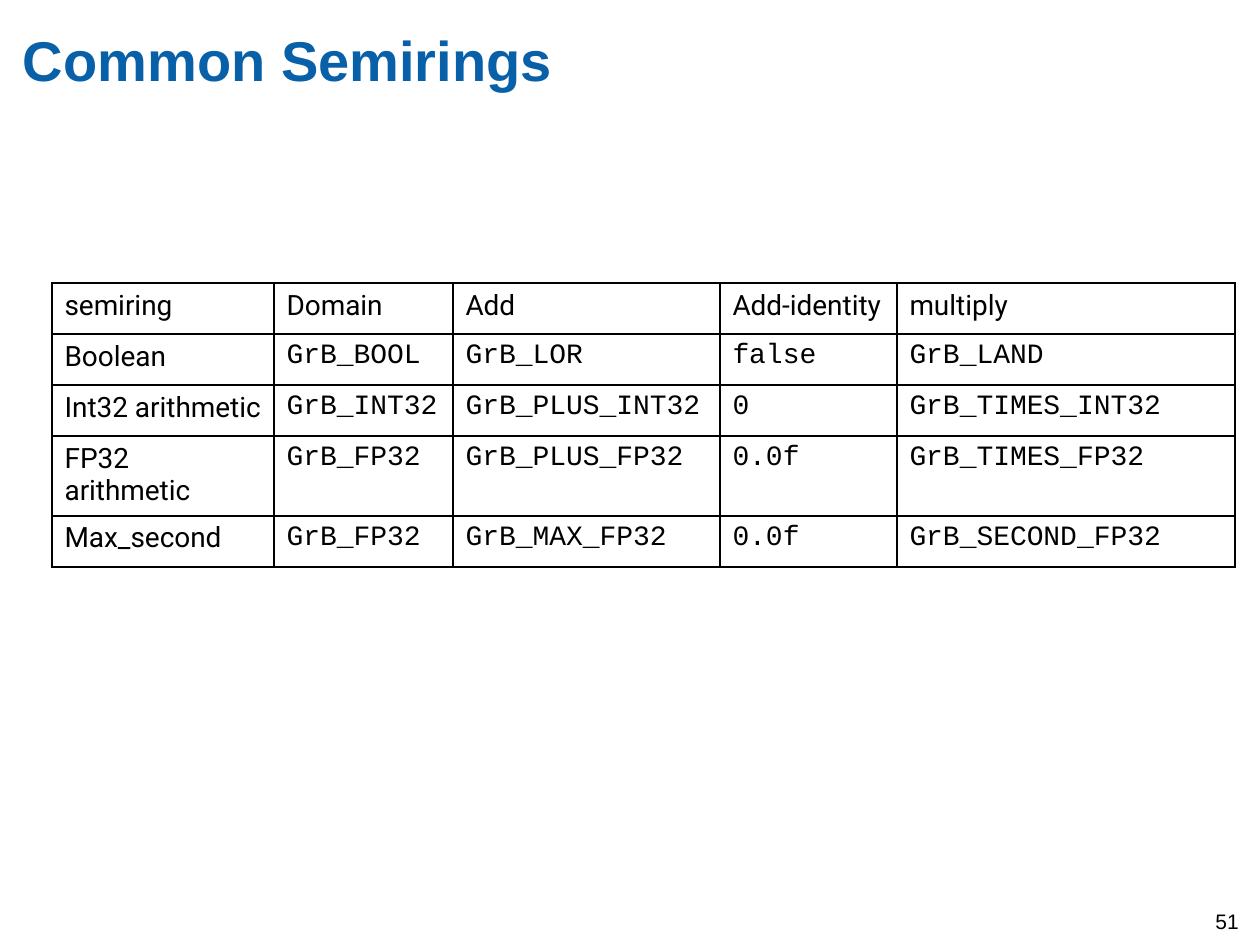
from lxml import etree
from pptx import Presentation
from pptx import util as u
from pptx.dml.color import RGBColor
from pptx.enum import text
from pptx.oxml.ns import qn

PX = 914400 / 126
BLACK = "000000"
BLUE = "0860A8"


def px(n):
    return u.Emu(round(n * PX))


def rgb(color):
    return RGBColor.from_string(color)


class Slide:
    heading = dict(name="Arial", size=u.Pt(32), bold=True)
    label = dict(name="Roboto", size=u.Pt(16), bold=False)
    code = dict(label, name="Courier New")
    number = dict(name="Arial", size=u.Pt(12), bold=False)

    def __init__(self, prs):
        self.s = prs.slides.add_slide(prs.slide_layouts[6])

    def add_words(self, tf, words, style, color):
        r = tf.paragraphs[0].add_run()
        r.text = words
        for name, value in style.items():
            setattr(r.font, name, value)
        r.font.color.rgb = rgb(color)

    def text(self, box, words, style, color=BLACK, **frame):
        tf = self.s.shapes.add_textbox(*map(px, box)).text_frame
        frame = dict(word_wrap=True, vertical_anchor=text.MSO_ANCHOR.TOP) | frame
        for name, value in frame.items():
            setattr(tf, name, value)
        self.add_words(tf, words, style, color)

    def borders(self, cell):
        tcPr = cell._tc.get_or_add_tcPr()
        for side in ("lnL", "lnR", "lnT", "lnB"):
            ln = etree.SubElement(tcPr, qn(f"a:{side}"), w=str(u.Pt(1)))
            fill = etree.SubElement(ln, qn("a:solidFill"))
            etree.SubElement(fill, qn("a:srgbClr"), val=BLACK)

    def table(self, left, top, widths, row_height, rows):
        box = (left, top, sum(widths), row_height * len(rows))
        tbl = self.s.shapes.add_table(len(rows), len(widths), *map(px, box)).table
        tbl.first_row = tbl.horz_banding = False
        for col, width in zip(tbl.columns, widths):
            col.width = px(width)
        for i, row in enumerate(rows):
            tbl.rows[i].height = px(row_height)
            for j, words in enumerate(row):
                cell = tbl.cell(i, j)
                self.borders(cell)
                cell.fill.background()
                style = self.code if i and j else self.label
                self.add_words(cell.text_frame, words, style, BLACK)


SEMIRINGS = [
    ("semiring", "Domain", "Add", "Add-identity", "multiply"),
    ("Boolean", "GrB_BOOL", "GrB_LOR", "false", "GrB_LAND"),
    ("Int32 arithmetic", "GrB_INT32", "GrB_PLUS_INT32", "0", "GrB_TIMES_INT32"),
    ("FP32 arithmetic", "GrB_FP32", "GrB_PLUS_FP32", "0.0f", "GrB_TIMES_FP32"),
    ("Max_second", "GrB_FP32", "GrB_MAX_FP32", "0.0f", "GrB_SECOND_FP32"),
]


def main():
    prs = Presentation()
    prs.slide_width, prs.slide_height = px(1260), px(945)
    slide = Slide(prs)
    no_margins = dict.fromkeys(
        ("margin_left", "margin_top", "margin_right", "margin_bottom"), 0)
    slide.text((23, 26, 1135, 122), "Common Semirings", slide.heading, BLUE,
               **no_margins)
    slide.table(52, 283, (222, 179, 267, 177, 338), 51, SEMIRINGS)
    slide.text((1203, 902, 57, 42), "51", slide.number)
    prs.save("out.pptx")


if __name__ == "__main__":
    main()
